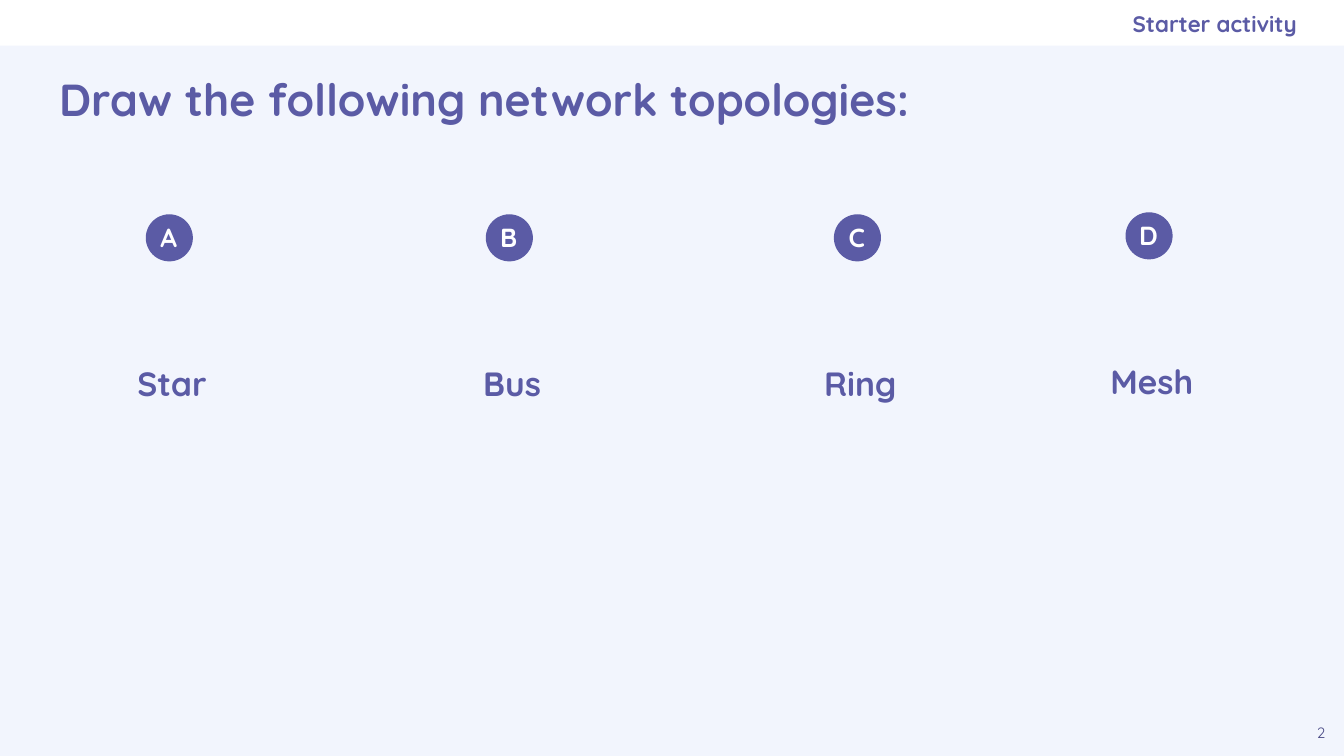
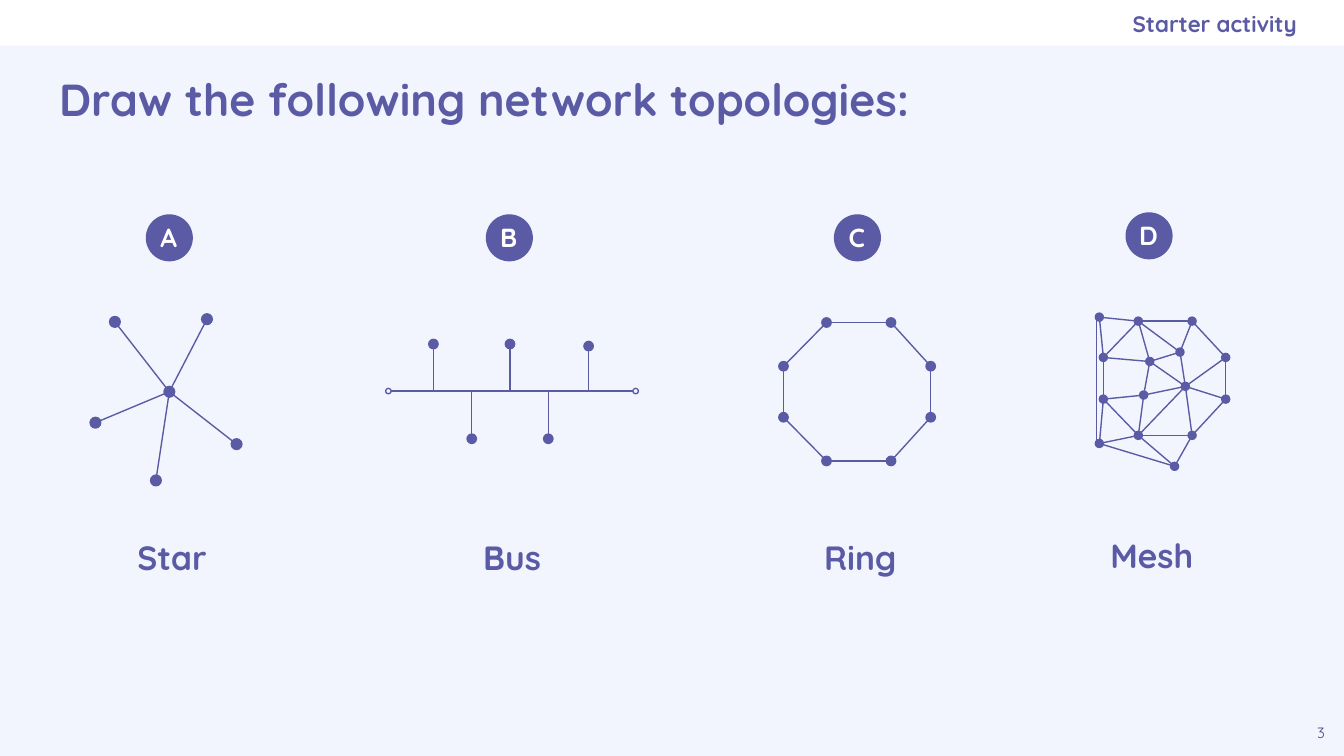
from math import hypot

from lxml.etree import SubElement
from pptx import Presentation
from pptx.dml.color import RGBColor
from pptx.enum.shapes import MSO_CONNECTOR, MSO_SHAPE
from pptx.enum.text import MSO_ANCHOR, PP_ALIGN
from pptx.oxml.ns import qn
from pptx.util import Inches, Pt

WIDE, HIGH = 1000, 562.5
CELL = Inches(0.01)
FONT = "Quicksand"
PURPLE, DEEP, WHITE, PALE = "5B5BA5", "494985", "FFFFFF", "F2F5FD"
TITLE, TOPIC = "Draw the following network topologies:", "Starter activity"

STAR = [(126, 291.5), (85.5, 239.5), (154, 237.5), (176, 330.5),
        (116, 357.5), (71, 314.5)]
TAPS = [(322.5, 256), (351, 326.5), (379.5, 256), (408, 326.5), (438, 257.5)]
RING = [(615, 240), (663, 240), (692.5, 272.5), (692.5, 310.5),
        (663, 343), (615, 343), (583, 310.5), (583, 272.5)]
MESH = [(818, 236), (821, 266), (821, 297), (818, 330), (847, 239),
        (887, 239), (912, 266), (912, 297), (887, 324), (847, 324),
        (855.5, 269), (851, 294), (882, 287.5), (878, 262), (874, 347)]
PAIRS = {0: [1, 4], 1: [2, 4, 10], 2: [3, 9, 11], 3: [9, 14], 4: [5, 10, 13],
         5: [6, 13], 6: [7, 12], 7: [8, 12], 8: [9, 12, 14], 9: [11, 12, 14],
         10: [11, 12, 13], 11: [12], 12: [13]}


def color(text):
    """Turn a hex string into a colour."""
    return RGBColor.from_string(text)


def grid(*cells):
    """Turn grid cells into lengths."""
    return [round(cell * CELL) for cell in cells]


def write(shape, text, size=18, fill=PURPLE, bold=True, align=PP_ALIGN.CENTER,
          anchor=MSO_ANCHOR.TOP, pads=(10, 10, 10, 10)):
    """Put formatted text in a shape."""
    frame = shape.text_frame
    frame.word_wrap = True
    frame.vertical_anchor = anchor
    (frame.margin_left, frame.margin_top,
     frame.margin_right, frame.margin_bottom) = grid(*pads)
    para = frame.paragraphs[0]
    para.text = text
    para.alignment = align
    font = para.font
    font.name, font.size, font.bold = FONT, Pt(size), bold
    font.color.rgb = color(fill)


def label(shapes, box, text, **style):
    """Add a text box."""
    write(shapes.add_textbox(*grid(*box)), text, **style)


def disc(shapes, spot, size, fill=PURPLE):
    """Add a circle around its centre, hollow when fill is None."""
    left, top = (value - size / 2 for value in spot)
    shape = shapes.add_shape(MSO_SHAPE.OVAL, *grid(left, top, size, size))
    shape.shadow.inherit = False
    shape.line.color.rgb = color(PURPLE)
    shape.line.width = Pt(0.75)
    if fill:
        shape.fill.solid()
        shape.fill.fore_color.rgb = color(fill)
    else:
        shape.fill.background()
    return shape


def link(shapes, start, end, trim=0, tail=None):
    """Draw a line, cut back by trim at the start and tail at the end."""
    tail = trim if tail is None else tail
    (x, y), (u, v) = start, end
    span = hypot(u - x, v - y)
    dx, dy = (u - x) / span, (v - y) / span
    line = shapes.add_connector(
        MSO_CONNECTOR.STRAIGHT,
        *grid(x + dx * trim, y + dy * trim, u - dx * tail, v - dy * tail))
    line.line.color.rgb = color(PURPLE)
    line.line.width = Pt(0.75)
    SubElement(line._element.spPr, qn("a:effectLst"))


def net(shapes, nodes, pairs, size):
    """Draw nodes and the links between them."""
    for start, end in pairs:
        link(shapes, nodes[start], nodes[end], size / 2)
    for spot in nodes:
        disc(shapes, spot, size)


def star(shapes):
    """Draw a hub with five spokes."""
    net(shapes, STAR, [(0, end) for end in range(1, len(STAR))], 8)


def bus(shapes):
    """Draw a backbone with taps on both sides."""
    left, right, row = 289, 473, 291
    link(shapes, (right, row), (left, row), 2)
    for end in (left, right):
        disc(shapes, (end, row), 4, None)
    for tap in TAPS:
        link(shapes, (tap[0], row), tap, 0, 3.5)
        disc(shapes, tap, 7)


def ring(shapes):
    """Draw a closed loop of nodes."""
    count = len(RING)
    net(shapes, RING, [(i, (i + 1) % count) for i in range(count)], 7)


def mesh(shapes):
    """Draw the many-linked nodes."""
    net(shapes, MESH, [(a, b) for a, ends in PAIRS.items() for b in ends], 6)
    link(shapes, (816, 238), (816, 328))


KINDS = [("A", "Star", 126, 0, star), ("B", "Bus", 379, 0, bus),
         ("C", "Ring", 638, 0, ring), ("D", "Mesh", 855, -1.5, mesh)]


def base(deck, number):
    """Add a slide with its band, title, topic and number."""
    slide = deck.slides.add_slide(deck.slide_layouts[5])
    back = slide.background.fill
    back.solid()
    back.fore_color.rgb = color(PALE)
    shapes = slide.shapes
    band = shapes.add_shape(MSO_SHAPE.RECTANGLE, *grid(0, 0, WIDE, 34))
    band.shadow.inherit = False
    band.fill.solid()
    band.fill.fore_color.rgb = color(WHITE)
    band.line.fill.background()
    title = shapes.title
    title.left, title.top, title.width, title.height = grid(34, 35.5, 932, 76)
    write(title, TITLE, size=24, align=PP_ALIGN.LEFT, anchor=MSO_ANCHOR.MIDDLE)
    label(shapes, (575, 0.5, 390, 34), TOPIC, size=12, align=PP_ALIGN.RIGHT,
          anchor=MSO_ANCHOR.MIDDLE, pads=(10, 10, 0, 10))
    label(shapes, (WIDE - 34, HIGH - 34, 34, 34), str(number),
          size=8, fill=DEEP, bold=False, pads=(10, 13, 10, 7))
    return shapes


def topic(shapes, kind, row, drawn):
    """Add one topology: badge, name and, if drawn, its diagram."""
    letter, name, mid, shift, draw = kind
    if drawn:
        shapes = shapes.add_group_shape().shapes
        draw(shapes)
    badge = disc(shapes, (mid, 177 + shift), 34)
    write(badge, letter, size=14, fill=WHITE, anchor=MSO_ANCHOR.MIDDLE,
          pads=(0, 0, 1, 1))
    label(shapes, (mid - 39, row + shift, 82, 50), name)


def main():
    """Build the task slide and the answer slide."""
    deck = Presentation()
    deck.slide_width, deck.slide_height = grid(WIDE, HIGH)
    for number, row, drawn in ((2, 260, False), (3, 389.5, True)):
        shapes = base(deck, number)
        for kind in KINDS:
            topic(shapes, kind, row, drawn)
    deck.save("out.pptx")


if __name__ == "__main__":
    main()
